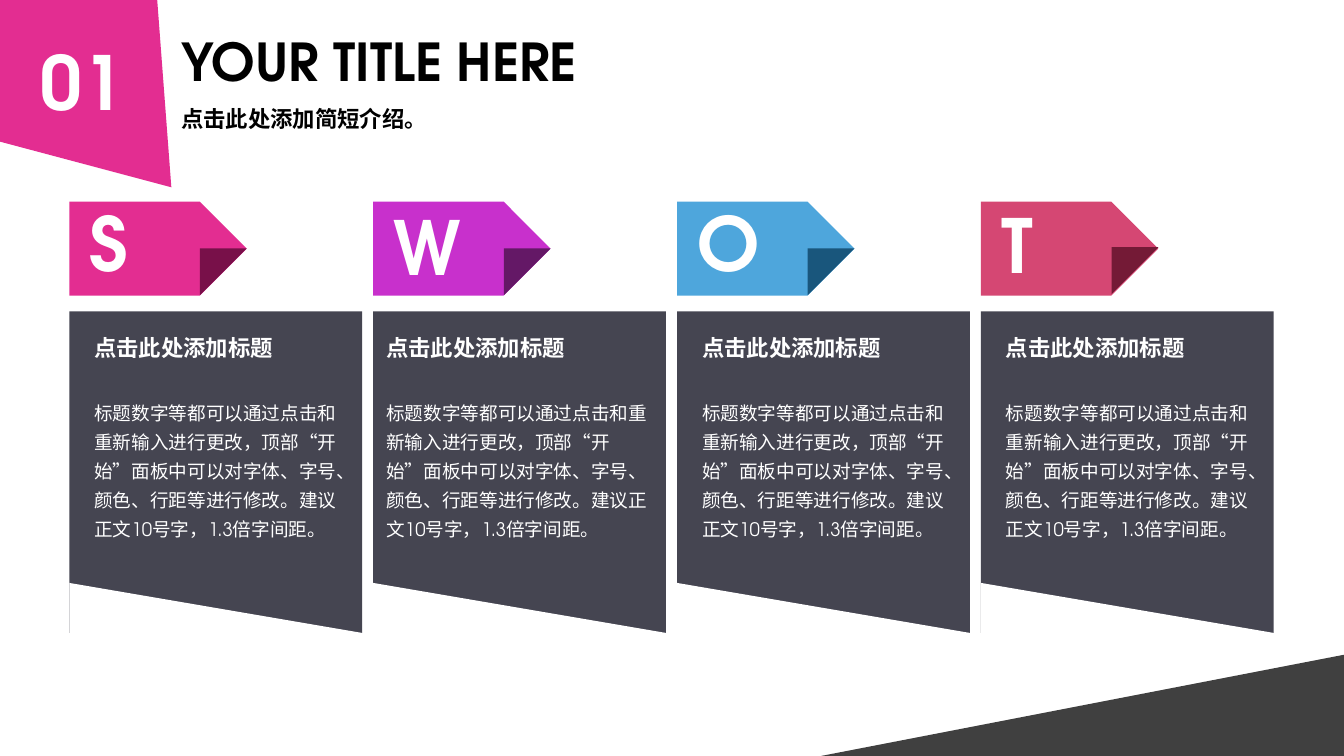
from pptx import Presentation
from pptx import util as u
from pptx.dml.color import RGBColor
from pptx.enum import shapes, text

FONT = "TeX Gyre Adventor"
HUE = {"pink": "E32D91", "plum": "781049", "white": "FFFFFF", "black": "000000",
       "slate": "454551", "coal": "404040", "violet": "C830CC", "grape": "641866",
       "sky": "4EA6DC", "navy": "19567C", "rose": "D54773", "wine": "741A36"}
KIND = shapes.MSO_SHAPE
BODY = "标题数字等都可以通过点击和重新输入进行更改，顶部“开始”面板中可以对字体、字号、颜色、行距等进行修改。建议正文10号字，1.3倍字间距。"


def say(words, box, size, bold=True, hue="white", align="LEFT",
        anchor="TOP", space=1.0, before=0):
    frame = box.text_frame
    frame.word_wrap = True
    frame.auto_size = text.MSO_AUTO_SIZE.NONE
    frame.vertical_anchor = getattr(text.MSO_ANCHOR, anchor)
    para = frame.add_paragraph() if frame.text else frame.paragraphs[0]
    para.alignment = getattr(text.PP_ALIGN, align)
    para.line_spacing = space
    para.space_before = u.Pt(before)
    run = para.add_run()
    run.text = words
    run.font.name = FONT
    run.font.size = u.Pt(size)
    run.font.bold = bold
    run.font.color.rgb = RGBColor.from_string(HUE[hue])


def paint(shape, hue):
    shape.shadow.inherit = False
    shape.fill.solid()
    shape.fill.fore_color.rgb = RGBColor.from_string(HUE[hue])
    shape.line.fill.background()
    return shape


deck = Presentation()
deck.slide_width, deck.slide_height = u.Cm(33.88), u.Cm(19.05)
slide = deck.slides.add_slide(deck.slide_layouts[5])
items = slide.shapes

pen = items.build_freeform(u.Cm(-0.15), u.Cm(-0.18))
pen.add_line_segments([(u.Cm(x), u.Cm(y)) for x, y in
                       [(3.96, -0.05), (4.32, 4.72), (-0.15, 3.53)]])
paint(pen.convert_to_shape(), "pink")

wedge = items.add_shape(KIND.RIGHT_TRIANGLE, u.Cm(20.7), u.Cm(16.5), u.Cm(13.18), u.Cm(2.55))
paint(wedge, "coal").element.spPr.xfrm.set("flipH", "1")

count = items.add_textbox(u.Cm(0.28), u.Cm(0.08), u.Cm(3.61), u.Cm(3.89))
say("01", count, 53.3, align="CENTER", anchor="MIDDLE")

title = items.title
title.left, title.top, title.width, title.height = u.Cm(4.32), u.Cm(0.48), u.Cm(11.73), u.Cm(2.08)
say("YOUR TITLE HERE", title, 37.3, hue="black", anchor="MIDDLE")

intro = items.add_textbox(u.Cm(4.32), u.Cm(2.59), u.Cm(11.73), u.Cm(0.79))
say("点击此处添加简短介绍。", intro, 16, hue="black", anchor="MIDDLE")

LEFT, PITCH, WIDE = 1.75, 7.66, 7.38
CARDS = [("S", "pink", "plum", 0.38, 4.83, 6.26),
         ("W", "violet", "grape", 0.08, 4.93, 6.26),
         ("O", "sky", "navy", 0.38, 4.83, 6.26),
         ("T", "rose", "wine", 0.38, 4.9, 6.23)]

for i, (mark, hue, dark, inset, rise, crease) in enumerate(CARDS):
    x = LEFT + i * PITCH
    paint(items.add_shape(KIND.RECTANGLE, u.Cm(x), u.Cm(7.85), u.Cm(WIDE), u.Cm(8.1)), "slate")
    paint(items.add_shape(KIND.RIGHT_TRIANGLE, u.Cm(x), u.Cm(14.69), u.Cm(WIDE), u.Cm(1.26)), "white")
    note = items.add_textbox(u.Cm(x + inset), u.Cm(8.08), u.Cm(WIDE - inset), u.Cm(5.74))
    say("点击此处添加标题", note, 16, space=1.3)
    say(BODY, note, 13.3, bold=False, space=1.3, before=25)

    paint(items.add_shape(KIND.PENTAGON, u.Cm(x), u.Cm(5.08), u.Cm(4.47), u.Cm(2.37)), hue)
    sign = items.add_textbox(u.Cm(x + 0.26), u.Cm(rise), u.Cm(2.64), u.Cm(2.54))
    say(mark, sign, 53.3)
    fold = items.add_shape(KIND.RIGHT_TRIANGLE, u.Cm(x + 3.29), u.Cm(crease), u.Cm(1.18), u.Cm(1.18))
    paint(fold, dark).rotation = 90

deck.save("out.pptx")
